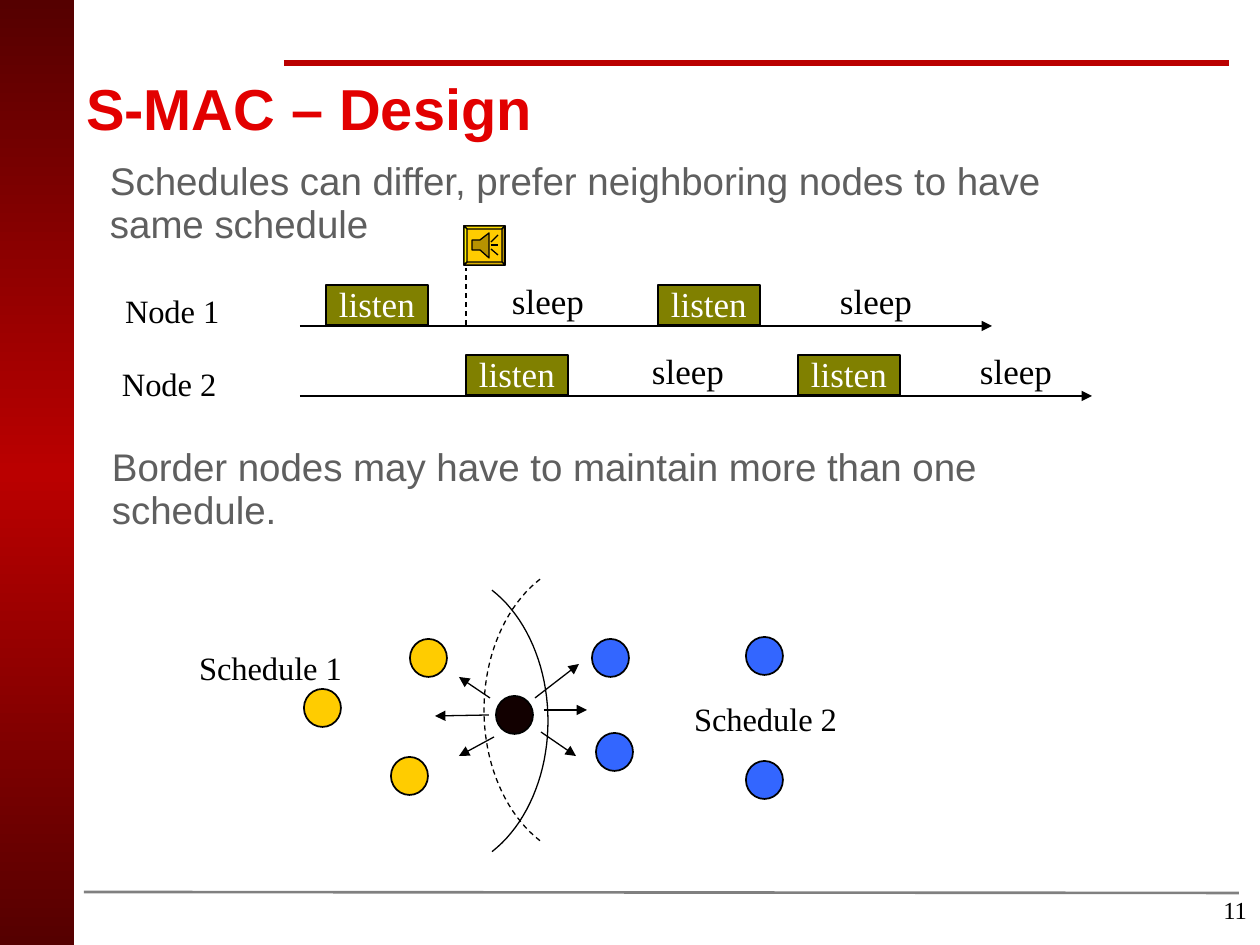
from copy import deepcopy
from dataclasses import dataclass
from math import cos, radians, sin

from lxml import etree
from pptx import Presentation
from pptx import util as u
from pptx.dml.color import RGBColor
from pptx.enum import dml, shapes, text
from pptx.oxml.ns import qn

SCALE = 914400 / 126  # EMU in one px
SERIF, SANS = "Times New Roman", "Arial"
BLACK, WHITE, GREY = "000000", "FFFFFF", "5F5F5F"
OLIVE, YELLOW, BLUE, DARK = "808000", "FFCC00", "3366FF", "120000"
LEFT, CENTER, RIGHT = text.PP_ALIGN.LEFT, text.PP_ALIGN.CENTER, text.PP_ALIGN.RIGHT
TOP, MIDDLE = text.MSO_ANCHOR.TOP, text.MSO_ANCHOR.MIDDLE


@dataclass
class Style:
    size: int
    font: str = SERIF
    color: str = BLACK
    align: text.PP_ALIGN = LEFT
    anchor: text.MSO_ANCHOR = TOP
    inset: tuple[int, int, int, int] = (0, 0, 0, 0)
    bold: bool = False
    raised: bool = False


@dataclass
class Timeline:
    name: str
    label: tuple[int, int]
    x: int
    y: int
    end: int


@dataclass
class Node:
    x: int
    y: int
    color: str


TITLE = Style(33, SANS, "E20000", inset=(13, 6, 13, 6), bold=True)
BODY = Style(22, SANS, GREY)
NUMBER = Style(14, align=RIGHT, inset=(13, 6, 13, 6))
SLEEP = Style(20, align=CENTER, inset=(0, 1, 0, 1))
LISTEN = Style(20, color=WHITE, align=CENTER, inset=(0, 1, 0, 1))
NODE = Style(32, anchor=MIDDLE, inset=(0, 25, 0, 0), raised=True)
SCHEDULE_1 = Style(32, align=CENTER, inset=(0, 25, 0, 0), raised=True)
SCHEDULE_2 = Style(32, align=CENTER, anchor=MIDDLE, inset=(0, 25, 0, 0), raised=True)

PERIOD = 332
TIMELINES = [
    Timeline("Node 1", (125, 265), 326, 285, 992),
    Timeline("Node 2", (122, 338), 466, 355, 1092),
]
NODES = [
    Node(304, 689, YELLOW), Node(410, 639, YELLOW), Node(391, 757, YELLOW),
    Node(496, 696, DARK),
    Node(592, 639, BLUE), Node(746, 637, BLUE), Node(596, 733, BLUE), Node(746, 761, BLUE),
]
ARROWS = [
    (490, 698, 459, 677), (489, 715, 435, 716), (494, 737, 459, 756),
    (535, 698, 579, 664), (544, 710, 587, 710), (541, 732, 576, 756),
]
BEVELS = [
    ("FFCC00", [(464, 226), (505, 226), (505, 265), (464, 265)]),
    ("FFDF00", [(464, 226), (505, 226), (502, 229), (467, 229)]),
    ("B79200", [(505, 226), (505, 265), (502, 262), (502, 229)]),
    ("DBAF00", [(505, 265), (464, 265), (467, 262), (502, 262)]),
    ("FFF200", [(464, 265), (464, 226), (467, 229), (467, 262)]),
    ("B79200", [(472, 240), (480, 240), (489, 233), (489, 258), (480, 250), (472, 250)]),
]
SOUND_WAVES = [(491, 245, 498, 245), (491, 242, 498, 235), (491, 249, 498, 255)]


def px(n: float) -> int:
    return round(n * SCALE)


def rgb(color: str) -> RGBColor:
    return RGBColor.from_string(color)


def write(sp, words: str, style: Style) -> None:
    tf = sp.text_frame
    tf.word_wrap = True
    tf.auto_size = text.MSO_AUTO_SIZE.NONE
    tf.vertical_anchor = style.anchor
    tf.margin_left, tf.margin_top, tf.margin_right, tf.margin_bottom = map(px, style.inset)
    p = tf.paragraphs[0]
    p.alignment, p.line_spacing = style.align, 0.93
    r = p.add_run()
    r.text = words
    r.font.name, r.font.size, r.font.bold = style.font, u.Pt(style.size), style.bold
    r.font.color.rgb = rgb(style.color)
    if style.raised:
        r._r.get_or_add_rPr().set("baseline", "30000")


def label(s, words: str, x: int, y: int, w: int, h: int, style: Style) -> None:
    write(s.shapes.add_textbox(px(x), px(y), px(w), px(h)), words, style)


def outline(sp, width: float, color: str = BLACK, dashed: bool = False) -> None:
    sp.line.color.rgb = rgb(color)
    sp.line.width = u.Pt(width)
    if dashed:
        sp.line.dash_style = dml.MSO_LINE.DASH


def block(s, kind, x: int, y: int, w: int, h: int, color: str):
    sp = s.shapes.add_shape(kind, px(x), px(y), px(w), px(h))
    sp.shadow.inherit = False
    sp.fill.solid()
    sp.fill.fore_color.rgb = rgb(color)
    outline(sp, 1)
    return sp


def line(s, ends: tuple[int, int, int, int], width: float, color: str = BLACK,
         dashed: bool = False, arrow: bool = False) -> None:
    c = s.shapes.add_connector(shapes.MSO_CONNECTOR.STRAIGHT, *map(px, ends))
    outline(c, width, color, dashed)
    if arrow:
        etree.SubElement(c.line._get_or_add_ln(), qn("a:tailEnd"), type="triangle")
    etree.SubElement(c._element.spPr, qn("a:effectLst"))


def freeform(s, points: list, color: str | None = None, dashed: bool = False) -> None:
    """Draw a closed filled outline, or an open curve when there is no color."""
    pts = [(px(x), px(y)) for x, y in points]
    fb = s.shapes.build_freeform(*pts[0], scale=1.0)
    fb.add_line_segments(pts[1:], close=color is not None)
    sp = fb.convert_to_shape()
    sp.shadow.inherit = False
    if color:
        sp.fill.solid()
        sp.fill.fore_color.rgb = rgb(color)
    else:
        sp.fill.background()
    outline(sp, 0.75, dashed=dashed)


def radio_range(s, cx: int, cy: int, rx: int, dashed: bool) -> None:
    """Draw the edge of a schedule's range; a negative rx bulges left."""
    angles = [radians(a) for a in range(-60, 61, 3)]
    freeform(s, [(cx + rx * cos(a), cy + 151 * sin(a)) for a in angles], dashed=dashed)


def side_band(s) -> None:
    sp = block(s, shapes.MSO_SHAPE.RECTANGLE, 0, 0, 74, 945, BLACK)
    sp.line.fill.background()
    sp.fill.gradient()
    sp.fill.gradient_angle = 90
    first = sp.fill.gradient_stops[0]._gs
    first.addnext(deepcopy(first))
    for stop, (position, color) in zip(
            sp.fill.gradient_stops, [(0, "550000"), (0.5, "BA0000"), (1, "550000")]):
        stop.position, stop.color.rgb = position, rgb(color)


def timeline(s, t: Timeline) -> None:
    label(s, t.name, *t.label, 135, 88, NODE)
    line(s, (300, t.y + 41, t.end, t.y + 41), 1, arrow=True)
    for i in range(2):
        sp = block(s, shapes.MSO_SHAPE.RECTANGLE, t.x + i * PERIOD, t.y, 102, 40, OLIVE)
        write(sp, "listen", LISTEN)
        label(s, "sleep", t.x + 169 + i * 328, t.y - 3, 106, 42, SLEEP)


def main() -> None:
    prs = Presentation()
    prs.slide_width, prs.slide_height = px(1260), px(945)
    s = prs.slides.add_slide(prs.slide_layouts[5])

    side_band(s)
    line(s, (284, 63, 1229, 63), 3, "BA0000")
    line(s, (84, 892, 1239, 893), 1.5, "808080")
    label(s, "11", 966, 892, 294, 40, NUMBER)

    title = s.shapes.title
    title.left, title.top, title.width, title.height = map(px, (73, 73, 1155, 84))
    write(title, "S-MAC – Design", TITLE)
    label(s, "Schedules can differ, prefer neighboring nodes to have same schedule",
          110, 161, 1007, 86, BODY)
    label(s, "Border nodes may have to maintain more than one schedule.",
          112, 447, 1007, 86, BODY)

    for t in TIMELINES:
        timeline(s, t)
    line(s, (466, 325, 466, 268), 0.75, dashed=True)
    for color, points in BEVELS:
        freeform(s, points, color)
    for wave in SOUND_WAVES:
        line(s, wave, 0.75)

    for n in NODES:
        block(s, shapes.MSO_SHAPE.OVAL, n.x, n.y, 37, 38, n.color)
    radio_range(s, 436, 721, 112, dashed=False)
    radio_range(s, 596, 710, -112, dashed=True)
    for arrow in ARROWS:
        line(s, arrow, 0.75, arrow=True)
    label(s, "Schedule 1", 166, 622, 209, 88, SCHEDULE_1)
    label(s, "Schedule 2", 661, 673, 209, 88, SCHEDULE_2)

    prs.save("out.pptx")


if __name__ == "__main__":
    main()
